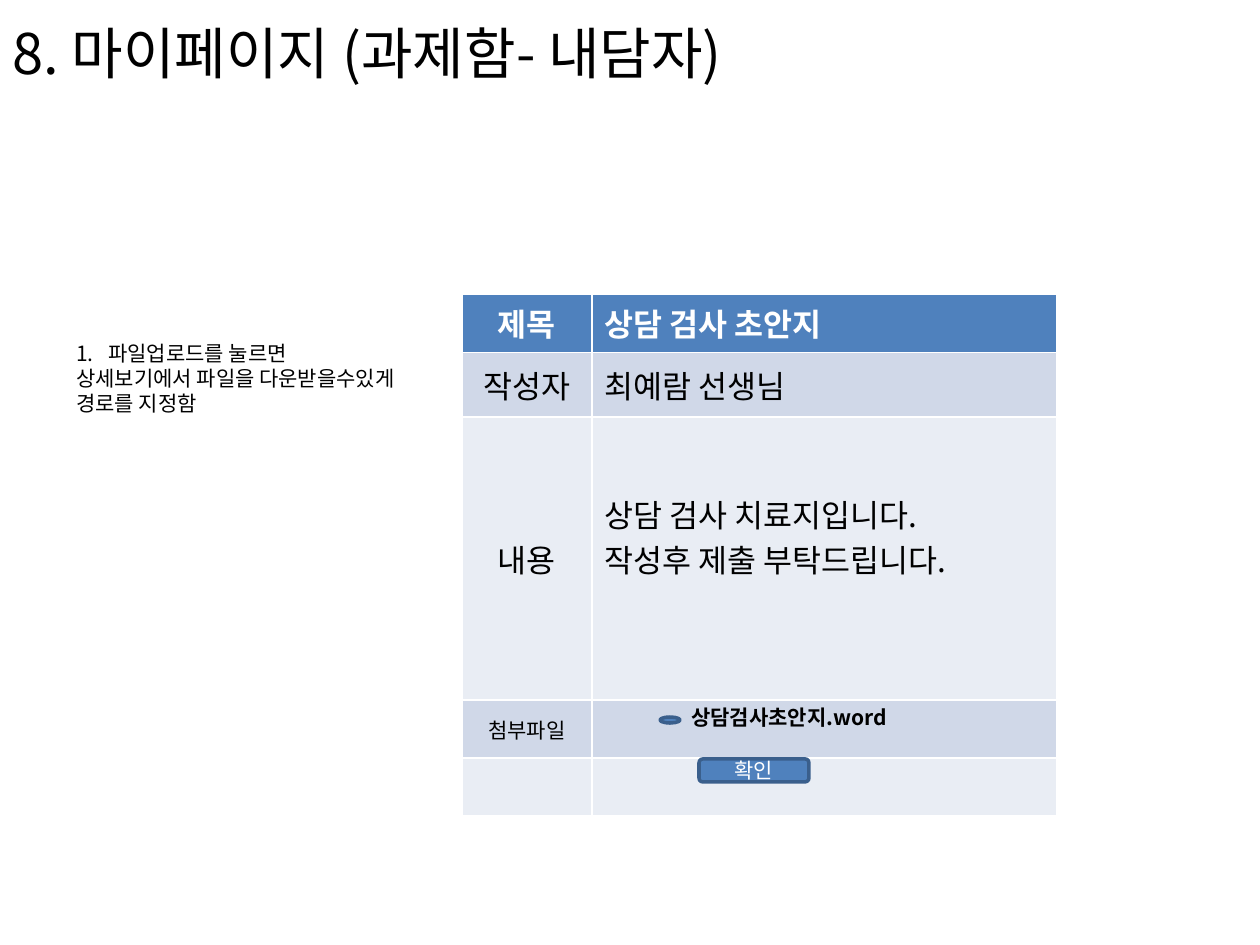
from dataclasses import dataclass

from lxml import etree
from pptx import Presentation
from pptx.dml.color import RGBColor
from pptx.enum.shapes import MSO_SHAPE
from pptx.enum.text import MSO_ANCHOR, MSO_AUTO_SIZE, PP_ALIGN
from pptx.oxml.ns import qn
from pptx.util import Emu, Pt

PX = 914400 // 126
LEFT, CENTER = PP_ALIGN.LEFT, PP_ALIGN.CENTER
MIDDLE = MSO_ANCHOR.MIDDLE
FIT = MSO_AUTO_SIZE.SHAPE_TO_FIT_TEXT
OVAL, ROUNDED = MSO_SHAPE.OVAL, MSO_SHAPE.ROUNDED_RECTANGLE
TITLE_ONLY = 5


@dataclass(frozen=True)
class Theme:
    """Colours, type face and type sizes."""
    font: str = "Noto Sans CJK KR"
    ink: str = "000000"
    white: str = "FFFFFF"
    accent: str = "4F81BD"
    outline: str = "3A5F8C"
    bands: tuple = ("E9EDF4", "D0D8E8")
    title: int = 32
    body: int = 18
    small: int = 12


THEME = Theme()


def px(n):
    """Convert whole pixels to EMU."""
    return Emu(n * PX)


def place(box):
    """Convert a pixel box to EMU."""
    return [px(n) for n in box]


def paint(fill, color):
    """Give a fill one solid colour."""
    fill.solid()
    fill.fore_color.rgb = RGBColor.from_string(color)


def write(tf, lines, size, color=THEME.ink, bold=False, align=LEFT):
    """Write one formatted paragraph for each line."""
    for i, line in enumerate(lines):
        p = tf.add_paragraph() if i else tf.paragraphs[0]
        p.alignment = align
        r = p.add_run()
        r.text = line
        for name, value in {"size": Pt(size), "bold": bold, "name": THEME.font}.items():
            setattr(r.font, name, value)
        r.font.color.rgb = RGBColor.from_string(color)
        latin = r._r.rPr.find(qn("a:latin"))
        ea = etree.Element(qn("a:ea"), typeface=THEME.font)
        latin.addnext(ea)


def add_title(s, box, text):
    """Place the slide title in its placeholder."""
    sp = s.shapes.title
    for name, value in zip(("left", "top", "width", "height"), place(box)):
        setattr(sp, name, value)
    sp.text_frame.vertical_anchor = MIDDLE
    write(sp.text_frame, [text], THEME.title)


def add_text(s, box, lines, bold=False):
    """Add a small text box that grows with its text."""
    tf = s.shapes.add_textbox(*place(box)).text_frame
    tf.word_wrap = False
    tf.auto_size = FIT
    write(tf, lines, THEME.small, bold=bold)
    return tf


def add_note(s, box, lines):
    """Add the note, whose first line is numbered."""
    tf = add_text(s, box, lines)
    tf.margin_right = 0
    pPr = tf.paragraphs[0]._p.get_or_add_pPr()
    for name, value in {"marL": px(32), "indent": -px(32)}.items():
        pPr.set(name, str(value))
    etree.SubElement(pPr, qn("a:buFont"), typeface=THEME.font)
    etree.SubElement(pPr, qn("a:buAutoNum"), type="arabicPeriod")


def add_shape(s, kind, box):
    """Add an outlined accent shape."""
    sp = s.shapes.add_shape(kind, *place(box))
    sp.shadow.inherit = False
    paint(sp.fill, THEME.accent)
    paint(sp.line.fill, THEME.outline)
    sp.line.width = Pt(2)
    return sp


def add_form(s, box, cols, rows):
    """Add the task table from rows of height, label, label size and lines."""
    table = s.shapes.add_table(len(rows), len(cols), *place(box)).table
    for col, width in zip(table.columns, cols):
        col.width = px(width)
    for i, (height, label, size, lines) in enumerate(rows):
        table.rows[i].height = px(height)
        head = i == 0
        color = THEME.white if head else THEME.ink
        contents = (([label] if label else [], size, CENTER), (lines, THEME.body, LEFT))
        for cell, (text, pt, align) in zip(table.rows[i].cells, contents):
            paint(cell.fill, THEME.accent if head else THEME.bands[i % 2])
            cell.vertical_anchor = MIDDLE
            write(cell.text_frame, text, pt, color, head, align)
    return table


def add_task_panel(s, box):
    """Add the task form with its attachment and confirm button."""
    x, y, _, _ = box
    rows = [
        (57, "제목", THEME.body, ["상담 검사 초안지"]),
        (65, "작성자", THEME.body, ["최예람 선생님"]),
        (283, "내용", THEME.body, ["상담 검사 치료지입니다.", "작성후 제출 부탁드립니다."]),
        (58, "첨부파일", THEME.small, []),
        (58, "", THEME.small, []),
    ]
    table = add_form(s, box, (130, 465), rows)
    table.cell(2, 1).margin_bottom = px(51)
    add_text(s, (x + 217, y + 404, 231, 38), ["상담검사초안지.word"], bold=True)
    add_shape(s, OVAL, (x + 198, y + 423, 20, 6))
    button = add_shape(s, ROUNDED, (x + 237, y + 465, 110, 23))
    button.text_frame.vertical_anchor = MIDDLE
    write(button.text_frame, ["확인"], THEME.small, THEME.white, align=CENTER)


def main():
    """Build and save the slide."""
    prs = Presentation()
    prs.slide_width, prs.slide_height = px(1260), px(945)
    s = prs.slides.add_slide(prs.slide_layouts[TITLE_ONLY])
    add_task_panel(s, (462, 294, 595, 521))
    add_note(s, (64, 334, 367, 89),
             ["파일업로드를 눌르면", "상세보기에서 파일을 다운받을수있게", "경로를 지정함"])
    add_title(s, (0, -1, 1223, 107), "8. 마이페이지 (과제함- 내담자)")
    prs.save("out.pptx")


if __name__ == "__main__":
    main()
